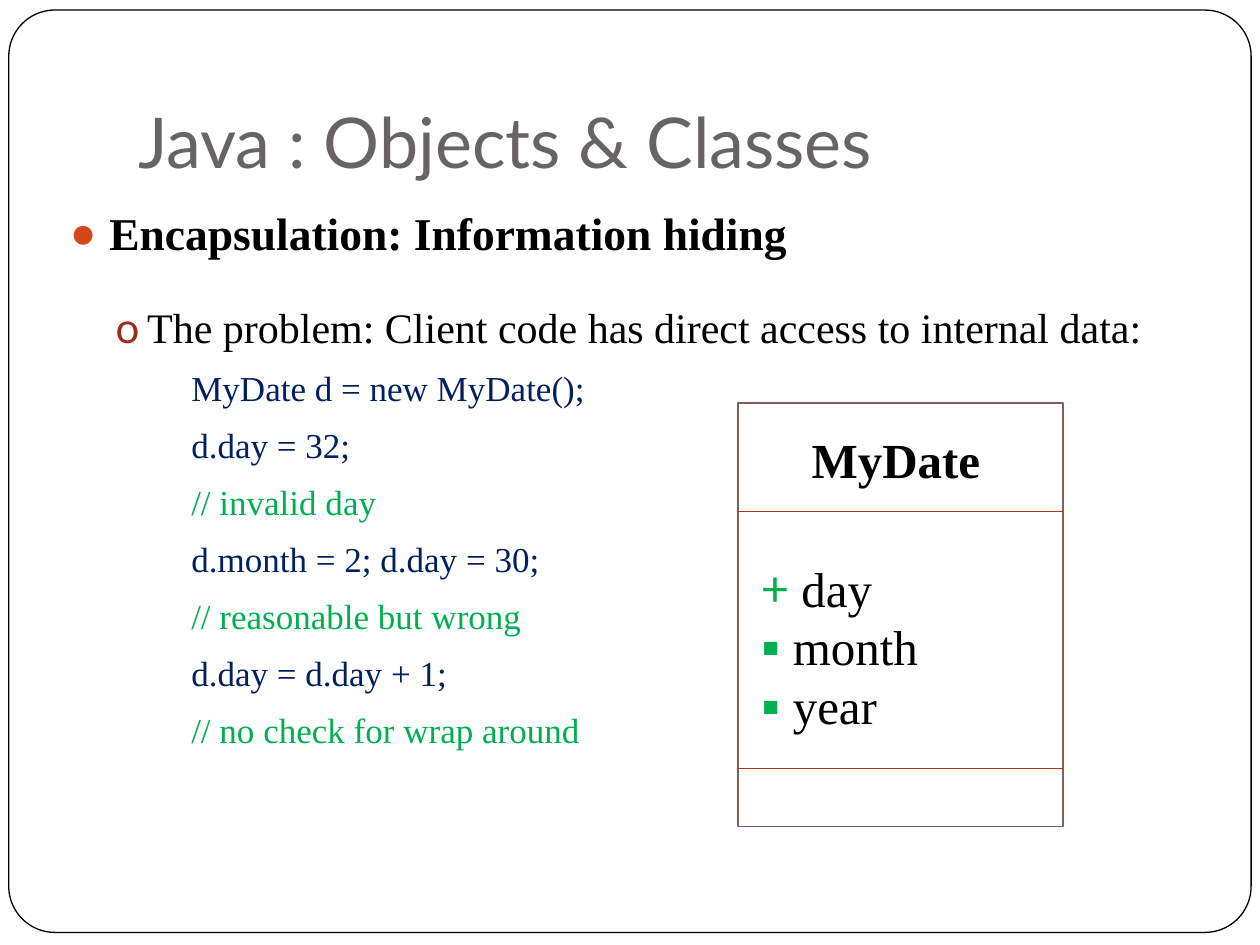
from dataclasses import dataclass

from lxml import etree
from pptx import Presentation
from pptx.dml.color import RGBColor
from pptx.enum.shapes import MSO_CONNECTOR, MSO_SHAPE
from pptx.enum.text import MSO_ANCHOR, PP_ALIGN
from pptx.oxml.ns import qn
from pptx.util import Inches, Pt

RECT, ROUND = MSO_SHAPE.RECTANGLE, MSO_SHAPE.ROUNDED_RECTANGLE
STRAIGHT = MSO_CONNECTOR.STRAIGHT
TOP, BOTTOM = MSO_ANCHOR.TOP, MSO_ANCHOR.BOTTOM
LEFT, CENTER = PP_ALIGN.LEFT, PP_ALIGN.CENTER
WIDE, HIGH = 10, 7.5


@dataclass(frozen=True)
class Theme:
    head: str = "Lato"
    body: str = "Times New Roman"
    title: int = 40
    label: int = 28
    topic: int = 26
    point: int = 24
    code: int = 20
    paper: str = "FFFFFF"
    ink: str = "000000"
    gray: str = "696464"
    navy: str = "002060"
    green: str = "00B050"
    orange: str = "D34817"
    red: str = "9B2D1F"
    edge: str = "855D5D"
    rule: str = "AE350A"


THEME = Theme()
CODE = [
    "MyDate d = new MyDate();",
    "d.day = 32;",
    "// invalid day",
    "d.month = 2; d.day = 30;",
    "// reasonable but wrong",
    "d.day = d.day + 1;",
    "// no check for wrap around",
]
FIELDS = [("+", " day"), ("▪", " month"), ("▪", " year")]


def color(code):
    return RGBColor.from_string(code)


def add_box(slide, kind, area, edge, width):
    box = slide.shapes.add_shape(kind, *map(Inches, area))
    box.shadow.inherit = False
    box.fill.solid()
    box.fill.fore_color.rgb = color(THEME.paper)
    box.line.color.rgb = color(edge)
    box.line.width = Pt(width)
    return box


def add_rule(slide, left, right, y):
    line = slide.shapes.add_connector(
        STRAIGHT, Inches(right), Inches(y), Inches(left), Inches(y))
    line.line.color.rgb = color(THEME.rule)
    line.line.width = Pt(0.75)
    etree.SubElement(line._element.spPr, qn("a:effectLst"))


def add_frame(slide, area, anchor=TOP):
    frame = slide.shapes.add_textbox(*map(Inches, area)).text_frame
    frame.word_wrap = True
    frame.vertical_anchor = anchor
    return frame


def add_line(frame, text, size, ink=THEME.ink, font=THEME.body, bold=False,
             align=LEFT, level=0, space=None, before=0):
    """Fill the first empty paragraph of the frame, or add one."""
    first = frame.paragraphs[0]
    para = frame.add_paragraph() if first.runs else first
    para.add_run().text = text
    para.font.size, para.font.name, para.font.bold = Pt(size), font, bold
    para.font.color.rgb = color(ink)
    para.alignment, para.level = align, level
    para.space_before = Pt(before)
    if space:
        para.line_spacing = space
    return para


def indent(para, margin, hang, mark=None, ink=None, scale=100):
    """Set a hanging indent, with a bullet if a mark is given."""
    props = para._p.get_or_add_pPr()
    props.set("marL", str(Inches(margin)))
    props.set("indent", str(-Inches(hang)))
    # The bullet has to come before the default run properties.
    tail = props.find(qn("a:defRPr"))

    def put(tag, **values):
        node = etree.Element(qn(tag), values)
        if tail is None:
            props.append(node)
        else:
            tail.addprevious(node)
        return node

    if mark is None:
        put("a:buNone")
        return
    etree.SubElement(put("a:buClr"), qn("a:srgbClr"), val=ink)
    put("a:buSzPct", val=str(scale * 1000))
    put("a:buFont", typeface=THEME.head)
    put("a:buChar", char=mark)


def add_body(slide):
    frame = add_frame(slide, (0.47, 1.58, WIDE - 0.47, HIGH - 1.58))
    topic = add_line(frame, "Encapsulation: Information hiding",
                     THEME.topic, bold=True)
    indent(topic, 0.3, 0.3, "●", THEME.orange, 85)
    point = add_line(
        frame, "The problem: Client code has direct access to internal data:",
        THEME.point, level=1, space=1.7, before=3.7)
    indent(point, 0.6, 0.25, "o", THEME.red)
    for text in CODE:
        ink = THEME.green if text.startswith("//") else THEME.navy
        line = add_line(frame, text, THEME.code, ink,
                        level=3, space=1.2, before=3.7)
        indent(line, 1.2, 0.25)


def add_class(slide, left, top, width, height):
    add_box(slide, RECT, (left, top, width, height), THEME.edge, 1)
    for y in (4.06, 6.1):
        add_rule(slide, left, left + width, y)
    inner = left + 0.08
    name = add_frame(slide, (inner, 3.36, 2.34, 0.57))
    add_line(name, "MyDate", THEME.label, bold=True, align=CENTER)
    fields = add_frame(slide, (inner, 4.38, 2.19, 1.52))
    for mark, text in FIELDS:
        indent(add_line(fields, text, THEME.label), 0, 0.19, mark, THEME.green)


def main():
    deck = Presentation()
    deck.slide_width, deck.slide_height = Inches(WIDE), Inches(HIGH)
    slide = deck.slides.add_slide(deck.slide_layouts[6])
    border = add_box(slide, ROUND, (0.07, 0.08, 9.86, 7.32), THEME.ink, 0.75)
    border.adjustments[0] = 0.05
    add_body(slide)
    title = add_frame(slide, (1, 0.3, 8.5, 1.25), BOTTOM)
    title.margin_bottom = Inches(0.1)
    add_line(title, "Java : Objects & Classes", THEME.title,
             THEME.gray, THEME.head)
    add_class(slide, 5.86, 3.2, 2.58, 3.36)
    deck.save("out.pptx")


if __name__ == "__main__":
    main()
